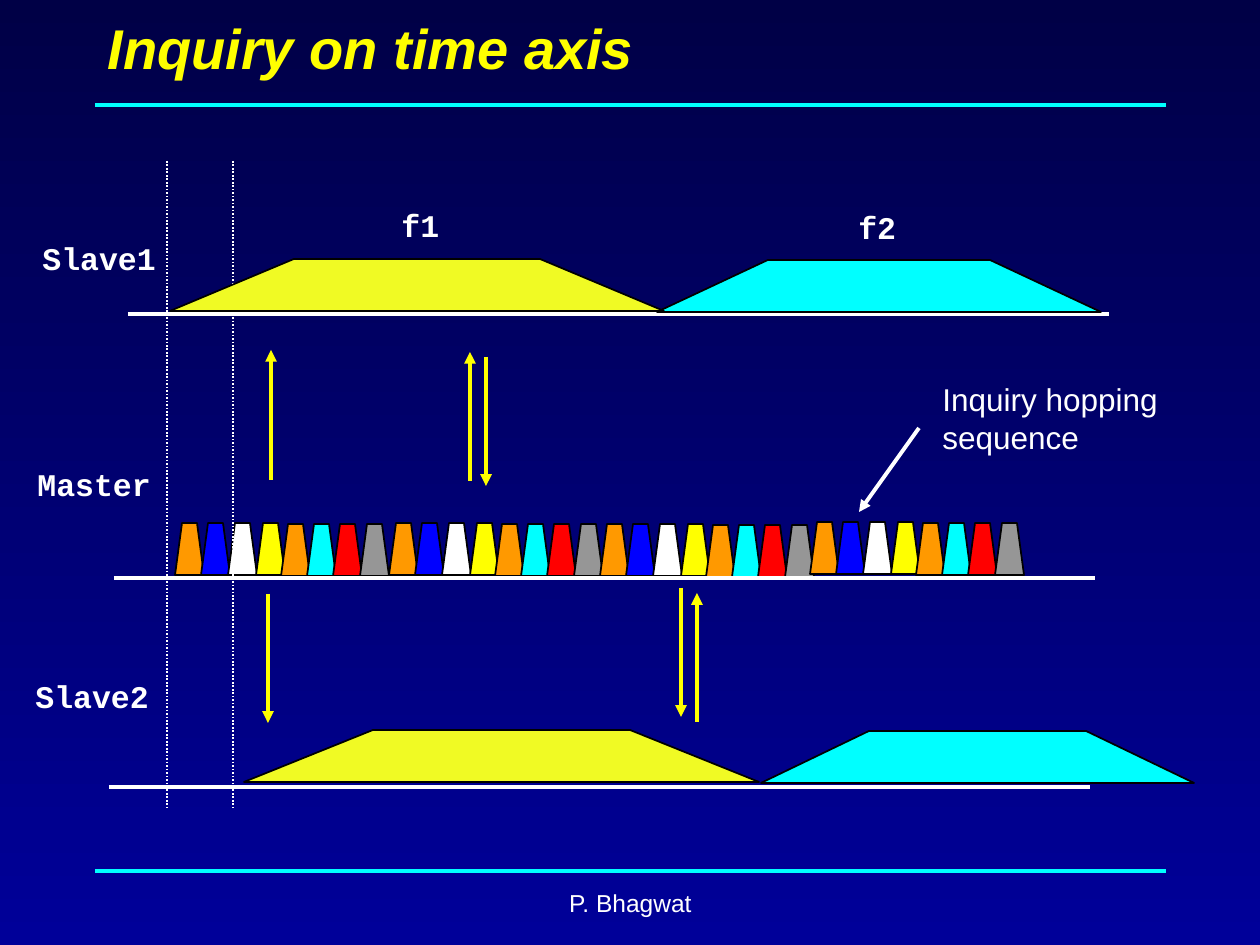
from lxml.etree import SubElement
from pptx import Presentation
from pptx.dml.color import RGBColor
from pptx.enum.dml import MSO_LINE
from pptx.enum.shapes import MSO_CONNECTOR
from pptx.enum.text import MSO_ANCHOR, PP_ALIGN
from pptx.oxml.ns import qn
from pptx.util import Emu, Pt

PX = 914400 / 126
COLORS = {
    "top": "000046", "bottom": "000099", "white": "FFFFFF", "black": "000000",
    "yellow": "FFFF00", "lemon": "F0FA24", "cyan": "00FFFF", "orange": "FF9900",
    "blue": "0000FF", "red": "FF0000", "gray": "969696",
}

TITLE = "Inquiry on time axis"
# text, (left, top, width, height), font, size, bold
LABELS = [
    ("Slave1", (30, 233, 139, 50), "Courier New", 18, True),
    ("Master", (25, 459, 139, 50), "Courier New", 18, True),
    ("Slave2", (23, 671, 139, 50), "Courier New", 18, True),
    ("f1", (389, 200, 63, 50), "Courier New", 18, True),
    ("f2", (846, 202, 63, 50), "Courier New", 18, True),
    ("Inquiry hopping\nsequence", (930, 374, 241, 88), "Arial", 18, False),
]
FOOTER = ("P. Bhagwat", (431, 882, 399, 63), "Arial", 14, False)

RULES_Y = [105, 871]
TIME_AXES = [(128, 314), (114, 578), (109, 787)]  # left, y
AXIS_LENGTH = 981
SLOT_MARKS_X = [167, 233]

# left, top, width, color
LISTEN_PERIODS = [
    (657, 260, 444, "cyan"), (170, 259, 494, "lemon"),
    (244, 730, 515, "lemon"), (761, 731, 433, "cyan"),
]
HOP_TRAINS = [(175, 523), (389, 523), (600, 524), (810, 522)]  # left, top
HOPS = [  # offset in train, color
    (0, "orange"), (26, "blue"), (53, "white"), (81, "yellow"),
    (106, "orange"), (132, "cyan"), (158, "red"), (185, "gray"),
]
HOP_WIDTH = 29
PULSE_HEIGHT = 52
MESSAGES = [  # x, start y, end y
    (271, 480, 350), (470, 481, 352), (486, 357, 486),
    (268, 594, 723), (681, 588, 717), (697, 722, 593),
]
SEQUENCE_POINTER = (919, 428, 859, 512)


def px(value):
    return Emu(round(value * PX))


def rgb(name):
    return RGBColor.from_string(COLORS[name])


def place(shape, box):
    shape.left, shape.top, shape.width, shape.height = map(px, box)


def style_text(frame, font_name, size, color, bold=False, italic=False):
    for paragraph in frame.paragraphs:
        for run in paragraph.runs:
            font = run.font
            font.name, font.size = font_name, Pt(size)
            font.bold, font.italic = bold, italic
            font.color.rgb = rgb(color)


def add_label(slide, text, box, font_name, size, bold, wrap=False):
    frame = slide.shapes.add_textbox(*map(px, box)).text_frame
    frame.word_wrap = wrap
    frame.text = text
    style_text(frame, font_name, size, "white", bold)
    return frame


def add_line(slide, ends, color, width, arrow=False, dotted=False):
    connector = slide.shapes.add_connector(MSO_CONNECTOR.STRAIGHT, *map(px, ends))
    connector.line.color.rgb = rgb(color)
    connector.line.width = Pt(width)
    if dotted:
        connector.line.dash_style = MSO_LINE.ROUND_DOT
    if arrow:
        SubElement(connector.line._get_or_add_ln(), qn("a:tailEnd"), type="triangle")
    SubElement(connector._element.spPr, qn("a:effectLst"))


def add_pulse(slide, left, top, width, color):
    """Draw a trapezoid whose sloping sides each take a quarter of its width."""
    right, bottom, slope = left + width, top + PULSE_HEIGHT, width / 4
    builder = slide.shapes.build_freeform(left, bottom, scale=PX)
    builder.add_line_segments(
        [(right, bottom), (right - slope, top), (left + slope, top)], close=True)
    pulse = builder.convert_to_shape()
    pulse.shadow.inherit = False
    pulse.fill.solid()
    pulse.fill.fore_color.rgb = rgb(color)
    pulse.line.color.rgb = rgb("black")
    pulse.line.width = Pt(1)


def main():
    prs = Presentation()
    prs.slide_width, prs.slide_height = px(1260), px(945)
    slide = prs.slides.add_slide(prs.slide_layouts[5])

    backdrop = slide.background.fill
    backdrop.gradient()
    backdrop.gradient_angle = 270
    for stop, name, position in zip(backdrop.gradient_stops, ("top", "bottom"), (0, 1)):
        stop.color.rgb = rgb(name)
        stop.position = position

    title = slide.shapes.title
    place(title, (95, 0, 1071, 95))
    title.text_frame.text = TITLE
    title.text_frame.vertical_anchor = MSO_ANCHOR.MIDDLE
    title.text_frame.paragraphs[0].alignment = PP_ALIGN.LEFT
    style_text(title.text_frame, "Arial", 32, "yellow", bold=True, italic=True)

    for y in RULES_Y:
        add_line(slide, (95, y, 1166, y), "cyan", 2)

    for train_left, train_top in HOP_TRAINS:
        for index, (offset, color) in enumerate(HOPS):
            # the second half of a train sits one px lower
            add_pulse(slide, train_left + offset, train_top + index // 4, HOP_WIDTH, color)
    for left, y in TIME_AXES:
        add_line(slide, (left, y, left + AXIS_LENGTH, y), "white", 2.25)
    for x in SLOT_MARKS_X:
        add_line(slide, (x, 161, x, 808), "white", 1, dotted=True)
    for period in LISTEN_PERIODS:
        add_pulse(slide, *period)

    for x, start, end in MESSAGES:
        add_line(slide, (x, start, x, end), "yellow", 2.25, arrow=True)
    add_line(slide, SEQUENCE_POINTER, "white", 2.25, arrow=True)

    for label in LABELS:
        add_label(slide, *label)
    footer = add_label(slide, *FOOTER, wrap=True)
    footer.paragraphs[0].alignment = PP_ALIGN.CENTER

    prs.save("out.pptx")


if __name__ == "__main__":
    main()
